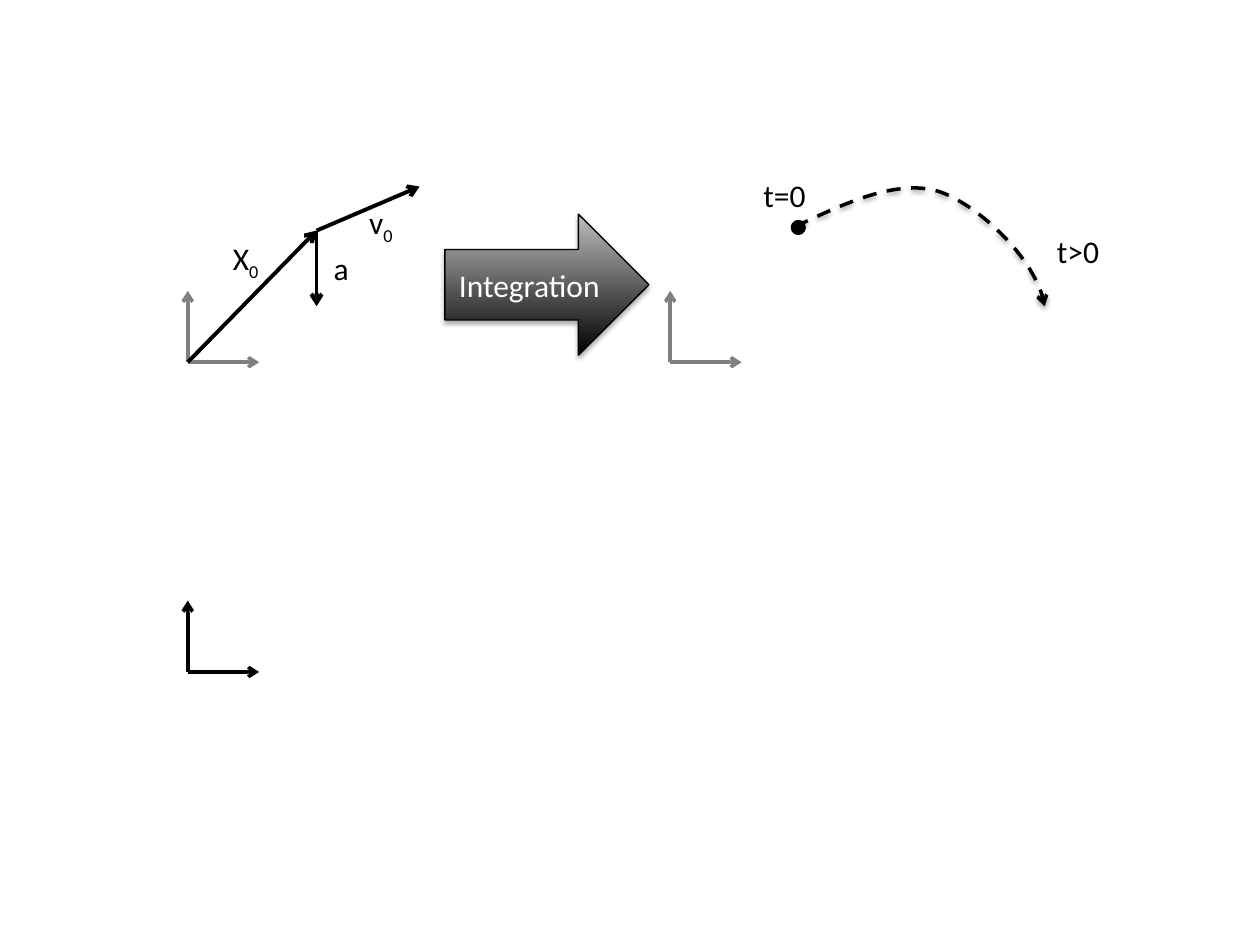
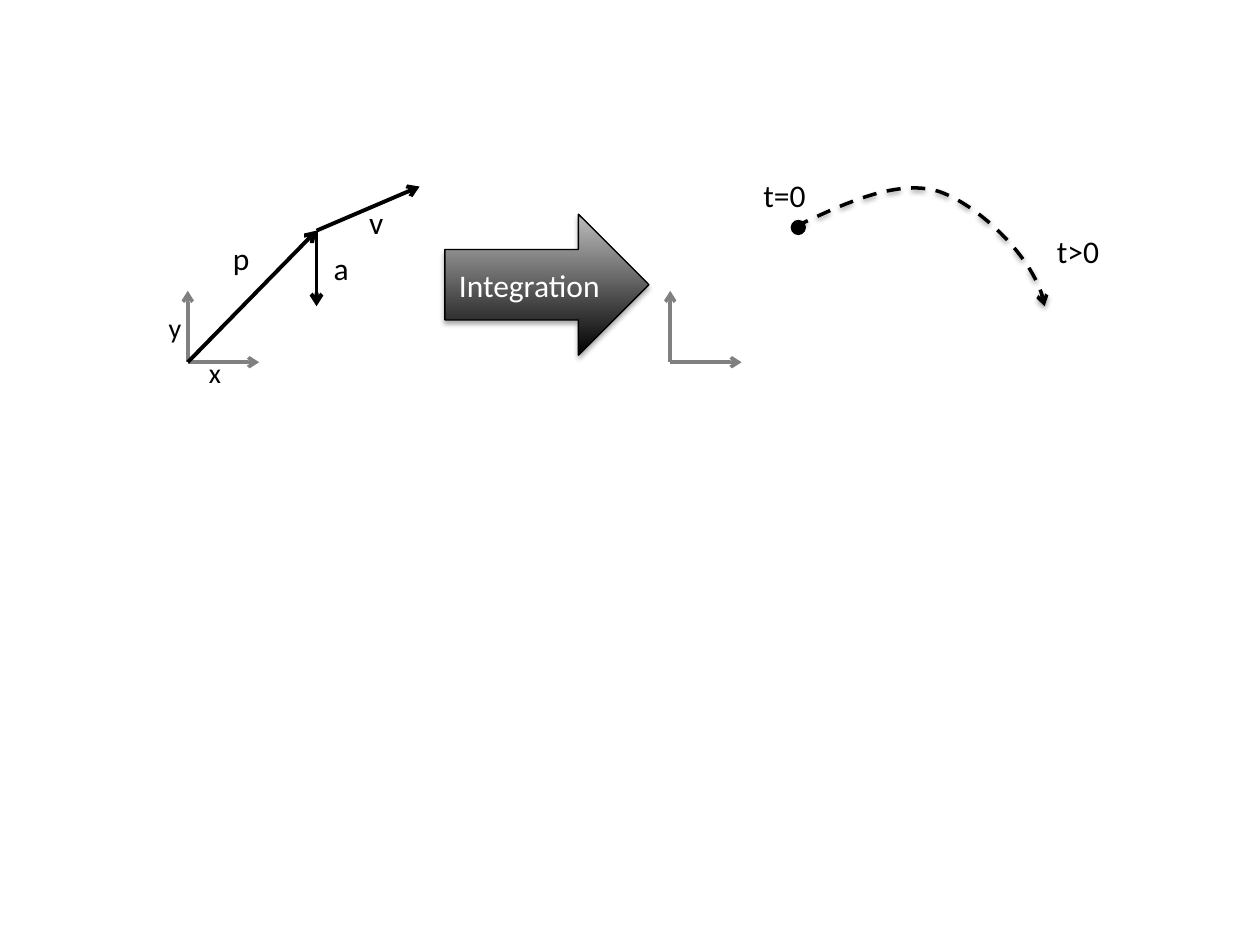
from lxml import etree
from pptx import Presentation
from pptx.dml.color import RGBColor
from pptx.enum.dml import MSO_LINE
from pptx.enum.shapes import MSO_CONNECTOR, MSO_SHAPE
from pptx.enum.text import MSO_ANCHOR, MSO_AUTO_SIZE, PP_ALIGN
from pptx.oxml.ns import qn
from pptx.util import Pt

STRAIGHT = MSO_CONNECTOR.STRAIGHT
RIGHT_ARROW, OVAL = MSO_SHAPE.RIGHT_ARROW, MSO_SHAPE.OVAL
DASH = MSO_LINE.DASH
MIDDLE, CENTER = MSO_ANCHOR.MIDDLE, PP_ALIGN.CENTER
FIT_SHAPE = MSO_AUTO_SIZE.SHAPE_TO_FIT_TEXT

# Content: points are (x, y) in points
COLORS = {"ink": "000000", "axis": "808080", "light": "BDBDBD", "white": "FFFFFF"}
FONT = "Calibri"
AXIS_LENGTH = 40.8
LEFT_ORIGIN, RIGHT_ORIGIN, LOWER_ORIGIN = (107.3, 207), (383, 207), (107.3, 384)
PARTICLE, VELOCITY_TIP, ACCELERATION_TIP = (180.9, 131.8), (239.8, 106.6), (180.9, 175)
VECTORS = [(LEFT_ORIGIN, PARTICLE), (PARTICLE, VELOCITY_TIP), (PARTICLE, ACCELERATION_TIP)]
TRAJECTORY = [  # cubic Bézier pieces
    [(454.3, 129.6), (483.1, 115.9), (512.6, 102.2), (536.4, 109.4)],
    [(536.4, 109.4), (560.2, 117.4), (593.3, 149.8), (596.9, 175)],
]
CURVE_STEPS = 30

# Labels: text, subscript, left, top, width, height, size
SHARED_LABELS = [
    ("a", "", 183.6, 139, 31.7, 28.8, 18),
    ("t=0", "", 429.1, 97.2, 41, 28.8, 18),
    ("t>0", "", 596.9, 128.9, 41, 28.8, 18),
]
SLIDES = [
    {"axes": [(LOWER_ORIGIN, "ink")],
     "labels": [("X", "0", 126, 133.2, 31.7, 28.8, 18),
                ("v", "0", 203.8, 112.3, 31.7, 28.8, 18)]},
    {"axes": [],
     "labels": [("p", "", 126, 133.2, 31.7, 28.8, 18),
                ("v", "", 203.8, 112.3, 31.7, 28.8, 18),
                ("x", "", 112.3, 199.4, 31.7, 26.6, 16),
                ("y", "", 89.3, 174.2, 31.7, 26.6, 16)]},
]


def rgb(name):
    return RGBColor.from_string(COLORS[name])


def set_line(shape, color, width):
    shape.line.color.rgb = rgb(color)
    shape.line.width = Pt(width)


def add_arrowhead(shape):
    etree.SubElement(shape.line._get_or_add_ln(), qn("a:tailEnd"), type="arrow")


def add_shadow(shape, alpha, dist):
    shape.shadow.inherit = False
    effects = shape._element.spPr.find(qn("a:effectLst"))
    outer = etree.SubElement(effects, qn("a:outerShdw"), blurRad=str(Pt(3.1)),
                             dist=str(Pt(dist)), dir="5400000", rotWithShape="0")
    color = etree.SubElement(outer, qn("a:srgbClr"), val=COLORS["ink"])
    etree.SubElement(color, qn("a:alpha"), val=str(alpha * 1000))


def add_run(p, text, size, color="ink"):
    r = p.add_run()
    r.text = text
    r.font.name, r.font.size = FONT, Pt(size)
    r.font.color.rgb = rgb(color)
    return r


def add_vector(s, start, end, color="ink", width=2.25):
    c = s.shapes.add_connector(STRAIGHT, *map(Pt, start + end))
    set_line(c, color, width)
    add_arrowhead(c)
    etree.SubElement(c._element.spPr, qn("a:effectLst"))


def add_axes(s, origin, color):
    x, y = origin
    for tip in ((x, y - AXIS_LENGTH), (x + AXIS_LENGTH, y)):
        add_vector(s, origin, tip, color, 2)


def add_label(s, text, subscript, left, top, width, height, size):
    tf = s.shapes.add_textbox(Pt(left), Pt(top), Pt(width), Pt(height)).text_frame
    tf.word_wrap = True
    tf.auto_size = FIT_SHAPE
    p = tf.paragraphs[0]
    add_run(p, text, size)
    if subscript:
        add_run(p, subscript, size).font._element.set("baseline", "-25000")


def add_integration_arrow(s):
    sp = s.shapes.add_shape(RIGHT_ARROW, Pt(254.2), Pt(122.4), Pt(116.6), Pt(80.6))
    sp.fill.gradient()
    sp.fill.gradient_angle = 90
    for stop, color in zip(sp.fill.gradient_stops, ("ink", "light")):
        stop.color.rgb = rgb(color)
    for position, stop in enumerate(sp.fill.gradient_stops):
        stop.position = position
    set_line(sp, "ink", 0.75)
    add_shadow(sp, 35, 1.8)
    tf = sp.text_frame
    tf.word_wrap = True
    tf.vertical_anchor = MIDDLE
    p = tf.paragraphs[0]
    p.alignment = CENTER
    add_run(p, "Integration", 18, "white")


def bezier(points, t):
    weights = ((1 - t) ** 3, 3 * t * (1 - t) ** 2, 3 * t * t * (1 - t), t ** 3)
    return tuple(Pt(sum(w * v for w, v in zip(weights, axis))) for axis in zip(*points))


def add_trajectory(s):
    # Starting point
    dot = s.shapes.add_shape(OVAL, Pt(452.2), Pt(126), Pt(8), Pt(8))
    dot.fill.solid()
    dot.fill.fore_color.rgb = rgb("ink")
    set_line(dot, "ink", 0.75)
    dot.shadow.inherit = False

    # Dashed flight curve
    curve = [bezier(piece, i / CURVE_STEPS)
             for piece in TRAJECTORY for i in range(1, CURVE_STEPS + 1)]
    builder = s.shapes.build_freeform(*map(Pt, TRAJECTORY[0][0]))
    builder.add_line_segments(curve, close=False)
    sp = builder.convert_to_shape()
    sp.fill.background()
    set_line(sp, "ink", 2)
    sp.line.dash_style = DASH
    add_arrowhead(sp)
    add_shadow(sp, 38, 1.6)


def main():
    prs = Presentation()
    prs.slide_width, prs.slide_height = Pt(720), Pt(540)
    for content in SLIDES:
        s = prs.slides.add_slide(prs.slide_layouts[6])
        # Coordinate systems and vectors
        for origin, color in [(LEFT_ORIGIN, "axis"), (RIGHT_ORIGIN, "axis")] + content["axes"]:
            add_axes(s, origin, color)
        for start, end in VECTORS:
            add_vector(s, start, end)
        # Integration step and its result
        add_integration_arrow(s)
        add_trajectory(s)
        for label in SHARED_LABELS + content["labels"]:
            add_label(s, *label)
    prs.save("out.pptx")


if __name__ == "__main__":
    main()
